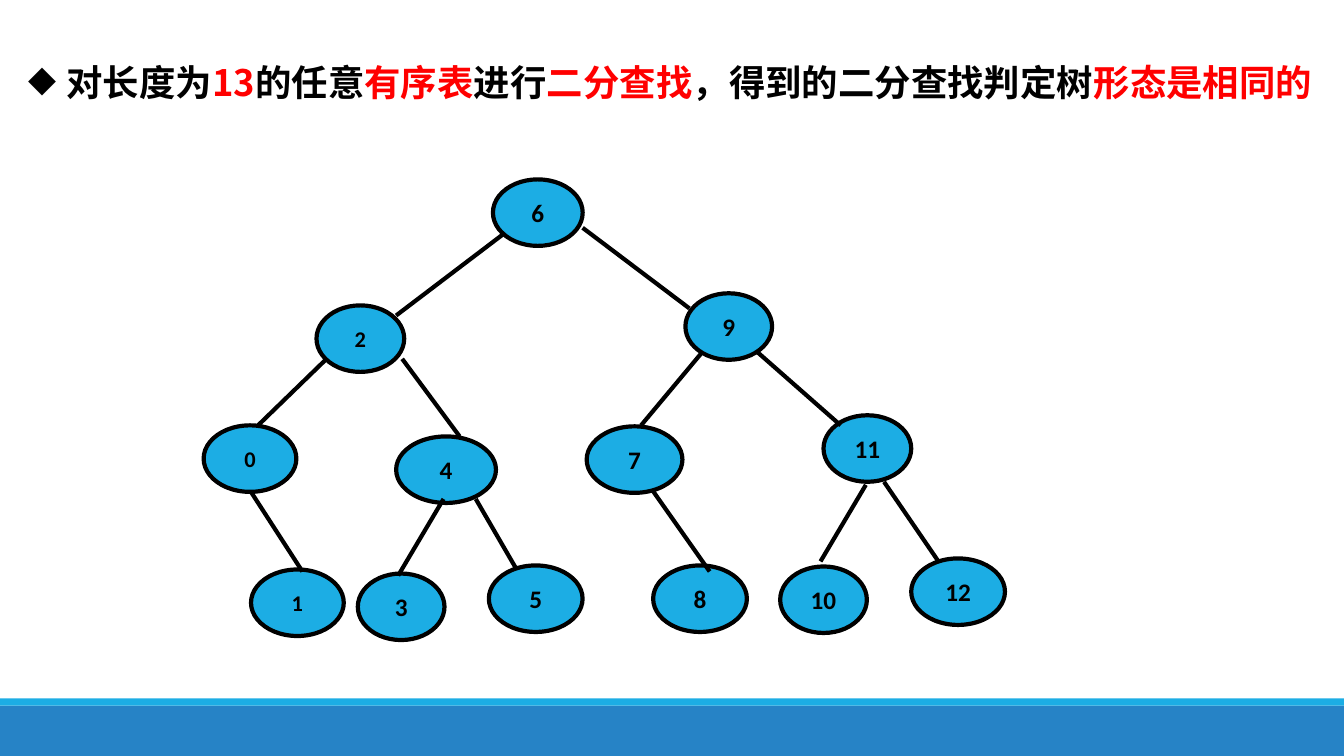
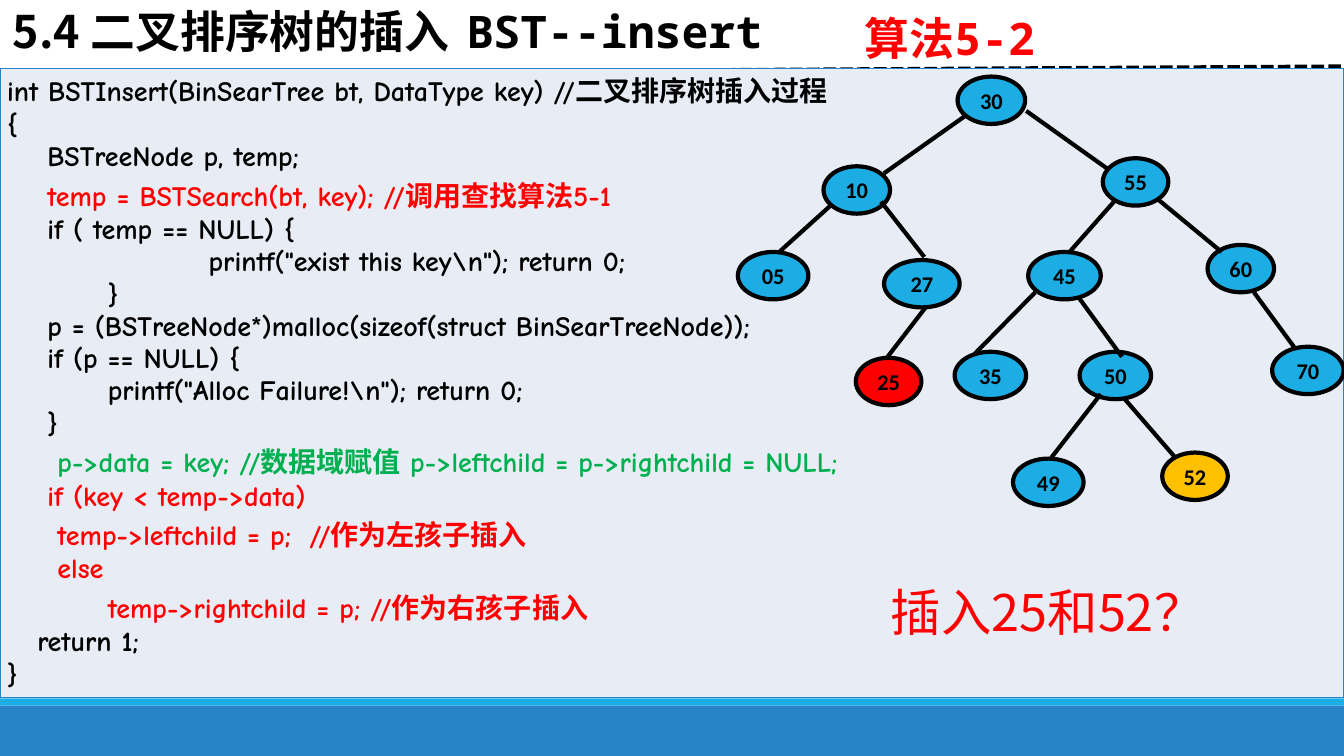
import pptx
import pptx.util
import pptx.dml.color
import pptx.enum.shapes
import pptx.enum.text
import pptx.oxml
import pptx.oxml.ns
import lxml.etree

COLORS = {"black": "000000", "white": "FFFFFF", "red": "FF0000", "green": "00B050",
          "amber": "FFC000", "node": "1CADE4", "band": "2683C6", "panel": "E8EDF5"}
CJK, MONO, CODE, LABEL = "Noto Sans CJK SC", "Noto Sans Mono", "Comic Neue", "Calibri"
COLS, ROWS = 133.33, 75


class Deck:
    """Draws styled elements on the current slide, on a grid of COLS by ROWS cells."""

    def __init__(self):
        self.prs = pptx.Presentation()
        self.prs.slide_width = pptx.util.Inches(13.333)
        self.prs.slide_height = pptx.util.Inches(7.5)
        self.s = None

    def x(self, cols):
        return round(self.prs.slide_width * cols / COLS)

    def y(self, rows):
        return round(self.prs.slide_height * rows / ROWS)

    def box(self, left, top, width, height):
        return self.x(left), self.y(top), self.x(width), self.y(height)

    def rgb(self, name):
        return pptx.dml.color.RGBColor.from_string(COLORS[name])

    def sub(self, parent, tag, **attrs):
        e = lxml.etree.SubElement(parent, pptx.oxml.ns.qn(tag))
        for key, value in attrs.items():
            e.set(key, str(value))
        return e

    def slide(self):
        self.s = self.prs.slides.add_slide(self.prs.slide_layouts[6])
        self.shape("RECTANGLE", (0, 70, COLS, 5), "band")
        self.shape("RECTANGLE", (0, 69.3, COLS, 0.7), "node")

    def shape(self, kind, place, fill, line=None):
        preset = getattr(pptx.enum.shapes.MSO_SHAPE, kind)
        sp = self.s.shapes.add_shape(preset, *self.box(*place))
        sp.shadow.inherit = False
        sp.fill.solid()
        sp.fill.fore_color.rgb = self.rgb(fill)
        if line:
            sp.line.color.rgb = self.rgb(line)
            sp.line.width = pptx.util.Pt(3)
        else:
            sp.line.fill.background()
        return sp

    def run(self, p, text, size, font, color="black", bold=True):
        r = p.add_run()
        r.text = text
        r.font.size = pptx.util.Pt(size)
        r.font.bold = bold
        r.font.color.rgb = self.rgb(color)
        r.font.name = font
        self.sub(r._r.get_or_add_rPr(), "a:ea", typeface=CJK)

    def indent(self, p, cols=0, hanging=0, bullet=None, tabs=()):
        ppr = p._p.get_or_add_pPr()
        ppr.set("marL", str(self.x(cols)))
        ppr.set("indent", str(-self.x(hanging)))
        if bullet:
            self.sub(ppr, "a:buChar", char=bullet)
        if tabs:
            stops = self.sub(ppr, "a:tabLst")
            for stop in tabs:
                self.sub(stops, "a:tab", pos=self.x(stop), algn="l")

    def text(self, place, runs, size, bold=True, **indent):
        sp = self.s.shapes.add_textbox(*self.box(*place))
        tf = sp.text_frame
        tf.word_wrap = True
        p = tf.paragraphs[0]
        p.line_spacing = 0.9
        self.indent(p, **indent)
        for text, font, color in runs:
            self.run(p, text, size, font, color, bold)

    def node(self, label, left, top, width, height, size, fill="node"):
        sp = self.shape("OVAL", (left, top, width, height), fill, "black")
        tf = sp.text_frame
        tf.margin_left = tf.margin_right = tf.margin_top = tf.margin_bottom = 0
        tf.word_wrap = False
        tf.vertical_anchor = pptx.enum.text.MSO_ANCHOR.MIDDLE
        p = tf.paragraphs[0]
        p.alignment = pptx.enum.text.PP_ALIGN.CENTER
        self.run(p, label, size, LABEL)

    def line(self, x1, y1, x2, y2, dash=None):
        c = self.s.shapes.add_connector(pptx.enum.shapes.MSO_CONNECTOR.STRAIGHT,
                                        self.x(x1), self.y(y1), self.x(x2), self.y(y2))
        c.line.color.rgb = self.rgb("black")
        c.line.width = pptx.util.Pt(3)
        if dash:
            self.sub(c.line._get_or_add_ln(), "a:prstDash", val=dash)
        self.sub(c._element.spPr, "a:effectLst")

    def tree(self, nodes, edges, height, size):
        for label, left, top, width, *style in nodes:
            options = style[0] if style else {}
            self.node(label, left, top, width, height, **{"size": size, **options})
        for edge in edges:
            self.line(*edge)

    def code_panel(self, place, lines, size):
        table = self.s.shapes.add_table(1, 1, *self.box(*place)).table
        table.first_row = table.horz_banding = False
        cell = table.cell(0, 0)
        cell.fill.solid()
        cell.fill.fore_color.rgb = self.rgb("panel")
        cell.margin_left = cell.margin_right = self.x(0.7)
        cell.margin_top = cell.margin_bottom = 0
        tcpr = cell._tc.get_or_add_tcPr()
        for i, side in enumerate(("a:lnL", "a:lnR", "a:lnT", "a:lnB")):
            ln = self.sub(tcpr, side, w=pptx.util.Pt(1))
            self.sub(self.sub(ln, "a:solidFill"), "a:srgbClr", val=COLORS["band"])
            tcpr.insert(i, ln)
        for i, (cols, color, text, *tabs) in enumerate(lines):
            tf = cell.text_frame
            p = tf.add_paragraph() if i else tf.paragraphs[0]
            self.indent(p, cols, tabs=tabs)
            self.run(p, text, size, CODE, color)


SMALL = {"size": 16}
SEARCH_NODES = [
    ("6", 48.9, 17.8, 8.9), ("2", 31.4, 30.3, 8.7, SMALL), ("9", 68, 29.1, 8.6),
    ("11", 81.7, 41.2, 8.7), ("7", 58.2, 42.3, 9.5), ("3", 35.5, 56.9, 8.6),
    ("8", 64.8, 56.1, 9.3), ("5", 48.5, 56.1, 9.3), ("4", 39.3, 43.3, 9.9),
    ("0", 20.2, 42.2, 9.2, SMALL), ("1", 24.9, 56.5, 9.2, SMALL),
    ("10", 77.4, 56.2, 8.6), ("12", 90.4, 55.4, 9.3)]
SEARCH_EDGES = [
    (50.1, 23.1, 39.3, 31.3), (32.4, 35.6, 25.6, 42.2), (69.7, 34.9, 63.6, 42.2),
    (44, 49.5, 39.5, 57.1), (57.8, 22.6, 68.4, 30.6), (75.1, 34.9, 83.4, 42.2),
    (64.7, 48.6, 70.4, 56.7), (39.9, 35.6, 45.6, 43.3), (47.2, 49.5, 51.2, 56.4),
    (24.9, 48.8, 30, 56.7), (85.9, 48.1, 81.4, 55.7), (87.7, 47.8, 93.1, 55.7)]
INSERT_NODES = [
    ("30", 95, 7.6, 6.7), ("10", 81.7, 16.5, 6.6), ("55", 109.4, 15.7, 6.5),
    ("60", 119.8, 24.3, 6.6), ("45", 102, 25, 7.2),
    ("25", 84.9, 35.5, 6.5, {"fill": "red"}), ("50", 107.1, 34.9, 7.1),
    ("35", 94.7, 34.9, 7.1), ("27", 87.7, 25.8, 7.5), ("05", 73.2, 25, 7),
    ("49", 100.5, 45.5, 7), ("52", 115.3, 44.9, 6.5, {"fill": "amber"}),
    ("70", 126.2, 34.4, 7.1)]
INSERT_EDGES = [
    (95.9, 11.4, 87.7, 17.2), (82.5, 20.3, 77.3, 25), (110.7, 19.8, 106.1, 25),
    (91.9, 30.4, 87.9, 35.6), (101.8, 11, 109.8, 16.7), (114.9, 19.8, 121.2, 25),
    (107, 29.5, 111.3, 35.4), (87.4, 20, 91.7, 25.5), (102.7, 29, 96.7, 35.1),
    (109.2, 39.1, 104.3, 45.4), (111.5, 39.5, 116.6, 45.4), (124.4, 29, 128.5, 34.6)]
INSERT_CODE = [
    (0, "black", "int BSTInsert(BinSearTree bt, DataType key) //二叉排序树插入过程"),
    (0, "black", "{"),
    (4, "black", "BSTreeNode p, temp;"),
    (4, "red", "temp = BSTSearch(bt, key); //调用查找算法5-1"),
    (4, "black", "if ( temp == NULL) {"),
    (20, "black", "printf(\"exist this key\\n\"); return 0;"),
    (10, "black", "}"),
    (4, "black", "p = (BSTreeNode*)malloc(sizeof(struct BinSearTreeNode));"),
    (4, "black", "if (p == NULL) {"),
    (10, "black", "printf(\"Alloc Failure!\\n\"); return 0;"),
    (4, "black", "}"),
    (0, "green", "\tp->data = key; //数据域赋值\tp->leftchild = p->rightchild = NULL;", 4, 42.1),
    (4, "red", "if (key < temp->data)"),
    (0, "red", "\ttemp->leftchild = p;\t//作为左孩子插入", 10, 35.3),
    (5, "red", "else"),
    (10, "red", "temp->rightchild = p; //作为右孩子插入"),
    (3, "black", "return 1;"),
    (0, "black", "}")]


def main():
    deck = Deck()

    deck.slide()
    deck.tree(SEARCH_NODES, SEARCH_EDGES, 6.6, 18)
    claim = [("对长度为", "black"), ("13", "red"), ("的任意", "black"), ("有序表", "red"),
             ("进行", "black"), ("二分查找", "red"), ("，得到的二分查找判定树", "black"),
             ("形态是相同的", "red")]
    deck.text((1.8, 6, 129.6, 5.4), [(text, CJK, color) for text, color in claim], 26,
              cols=3.8, hanging=3.8, bullet="◆")

    deck.slide()
    deck.text((84.8, 1.2, 23, 6.4), [("算法5-2", MONO, "red")], 32)
    deck.text((0.3, 0.5, 80.3, 6.4), [("5.4 二叉排序树的插入\t", CJK, "black"),
                                      ("BST--insert", MONO, "black")], 32, tabs=[47.6])
    deck.line(65, 7, COLS, 6.6, "sysDash")
    deck.code_panel((0, 6.8, COLS, 62.4), INSERT_CODE, 20)
    deck.tree(INSERT_NODES, INSERT_EDGES, 4.7, 16)
    deck.text((87.4, 57.8, 35.7, 7.1), [("插入25和52？", CJK, "red")], 36, bold=False)

    deck.prs.save("out.pptx")


if __name__ == "__main__":
    main()
